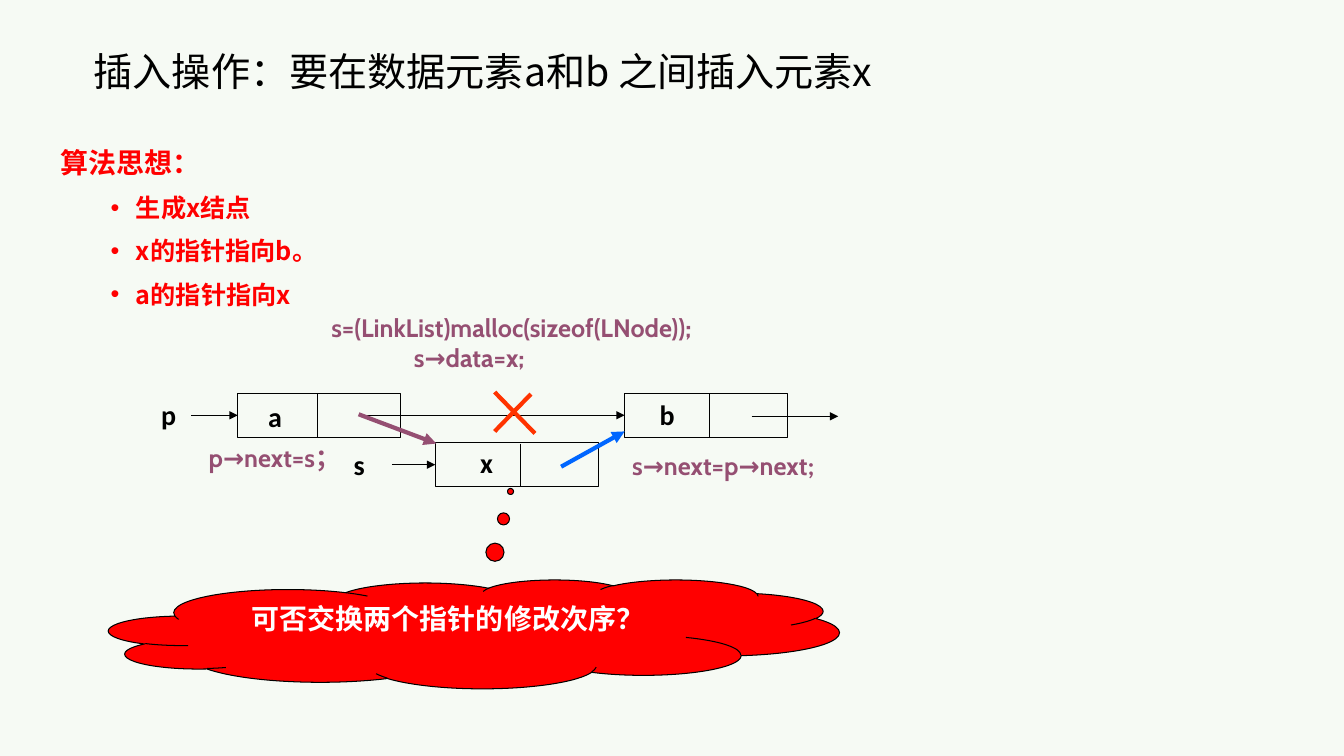
from dataclasses import dataclass

from lxml.etree import SubElement
from pptx import Presentation
from pptx.dml.color import RGBColor
from pptx.enum.shapes import MSO_CONNECTOR, MSO_SHAPE
from pptx.enum.text import MSO_ANCHOR, MSO_AUTO_SIZE, PP_ALIGN
from pptx.oxml.ns import qn
from pptx.util import Pt

SCALE = 9144  # EMU per px, 100 px to the inch


@dataclass(frozen=True)
class Theme:
    back: str = "F6FAF4"
    ink: str = "000000"
    red: str = "FF0000"
    cross: str = "FF3300"
    plum: str = "954F72"
    blue: str = "0066FF"
    white: str = "FFFFFF"
    cjk: str = "Noto Sans CJK SC"
    code: str = "Cabin"
    plain: str = "Calibri"
    title: int = 28
    large: int = 20
    small: int = 18
    thin: float = 0.75
    thick: int = 3


T = Theme()


def px(*nums):
    return [n * SCALE for n in nums]


def rgb(code):
    return RGBColor.from_string(code)


def style(par, size, color, face, bold=True):
    font = par.font
    font.size, font.bold, font.name = Pt(size), bold, face
    font.color.rgb = rgb(color)
    latin = font._element.find(qn("a:latin")) if hasattr(font, "_element") else par._p.pPr.find(
        qn("a:defRPr")).find(qn("a:latin"))
    latin.addnext(latin.makeelement(qn("a:ea"), typeface=T.cjk))


def indent(par, left, hang=0, bullet=None):
    props = par._p.get_or_add_pPr()
    props.set("marL", str(left * SCALE))
    props.set("indent", str(-hang * SCALE))
    if bullet:
        SubElement(props, qn("a:buFont"), typeface="Arial")
        SubElement(props, qn("a:buChar"), char=bullet)


def label(shapes, box, text, size=T.large, color=T.ink, face=T.plain):
    """Add one centred line of bold text and return its paragraph."""
    frame = shapes.add_textbox(*px(*box)).text_frame
    frame.word_wrap = False
    frame.vertical_anchor = MSO_ANCHOR.MIDDLE
    par = frame.paragraphs[0]
    par.text = text
    par.alignment = PP_ALIGN.CENTER
    style(par, size, color, face)
    return par


def line(shapes, start, end, color=T.ink, width=T.thin, arrow=False):
    link = shapes.add_connector(MSO_CONNECTOR.STRAIGHT, *px(*start, *end))
    link.line.color.rgb = rgb(color)
    link.line.width = Pt(width)
    props = link.element.spPr
    if arrow:
        SubElement(props.find(qn("a:ln")), qn("a:tailEnd"), type="triangle")
    SubElement(props, qn("a:effectLst"))
    return link


def node(shapes, box, text, split, shift):
    """Draw a list node, split into a data field and a pointer field."""
    x, y, w, h = box
    rect = shapes.add_shape(MSO_SHAPE.RECTANGLE, *px(*box))
    rect.shadow.inherit = False
    rect.fill.background()
    rect.line.color.rgb = rgb(T.ink)
    rect.line.width = Pt(T.thin)
    line(shapes, (x + split, y + 1), (x + split, y + h))
    label(shapes, (x + shift[0], y + shift[1], 34, h), text)
    return rect


def heading(slide, box):
    title = slide.shapes.title
    title.left, title.top, title.width, title.height = px(*box)
    frame = title.text_frame
    frame.auto_size = MSO_AUTO_SIZE.NONE
    frame.word_wrap = True
    frame.vertical_anchor = MSO_ANCHOR.BOTTOM
    par = frame.paragraphs[0]
    par.text = "插入操作：要在数据元素a和b 之间插入元素x"
    par.alignment = PP_ALIGN.LEFT
    par.line_spacing = 0.9
    style(par, T.title, T.ink, T.cjk, False)


def idea(shapes, box):
    frame = shapes.add_textbox(*px(*box)).text_frame
    frame.word_wrap = True
    lines = ["算法思想：", "生成x结点", "x的指针指向b。", "a的指针指向x"]
    for i, text in enumerate(lines):
        par = frame.add_paragraph() if i else frame.paragraphs[0]
        par.text = text
        par.line_spacing = 1.2
        if i:
            par.space_before = Pt(5)
            indent(par, 75, 25, "•")
        else:
            indent(par, 25, 25)
        style(par, T.small if i else T.large, T.red, T.cjk)


def code(shapes, box):
    frame = shapes.add_textbox(*px(*box)).text_frame
    frame.word_wrap = True
    frame.vertical_anchor = MSO_ANCHOR.MIDDLE
    first, second = frame.paragraphs[0], frame.add_paragraph()
    first.text = "s=(LinkList)malloc(sizeof(LNode));"
    second.text = "s→data=x;"
    indent(second, 82)
    for par in (first, second):
        style(par, T.small, T.plum, T.code)


def diagram(shapes, box):
    """Show the list with x being linked in between a and b."""
    x, y, w, h = box
    mid = y + 22

    def at(dx, dy):
        return x + dx, y + dy

    a = node(shapes, (*at(86, 0), 162, 44), "a", 79, (20, 1))
    b = node(shapes, (*at(470, 0), 162, 44), "b", 84, (25, -1))
    new = node(shapes, (*at(282, 49), 162, 44), "x", 85, (34, -2))

    label(shapes, (*at(0, -1), 32, 44), "p")
    label(shapes, (*at(191, 49), 31, 44), "s")
    for dx, level, goal in ((40, mid, a), (206, mid, b), (239, y + 71, new)):
        link = line(shapes, (x + dx, level), (x + dx + 40, level), arrow=True)
        link.end_connect(goal, 1)
    line(shapes, at(596, 23), at(682, 23), arrow=True)

    line(shapes, at(377, 1), at(341, 38), T.cross, T.thick)
    line(shapes, at(341, -1), at(381, 40), T.cross, T.thick)
    line(shapes, at(206, 21), at(283, 50), T.plum, T.thick, True)
    line(shapes, at(407, 73), at(470, 38), T.blue, T.thick, True)

    step = label(shapes, (*at(456, 52), 224, 40), "s→next=p→next", T.small, T.plum, T.code)
    end = step.add_run()
    end.text = ";"
    end.font.name = T.plain
    label(shapes, (*at(37, 44), 171, 40), "p→next=s；", T.small, T.plum, T.code)


def cloud(shapes, box):
    shape = shapes.add_shape(MSO_SHAPE.CLOUD_CALLOUT, *px(*box))
    shape.adjustments[0], shape.adjustments[1] = 0.05, -1.31
    shape.shadow.inherit = False
    shape.fill.solid()
    shape.fill.fore_color.rgb = rgb(T.red)
    shape.line.color.rgb = rgb(T.ink)
    shape.line.width = Pt(T.thin)
    frame = shape.text_frame
    frame.word_wrap = True
    frame.vertical_anchor = MSO_ANCHOR.TOP
    par = frame.paragraphs[0]
    par.text = "可否交换两个指针的修改次序？"
    par.alignment = PP_ALIGN.CENTER
    style(par, T.large, T.white, T.code)


def main():
    deck = Presentation()
    deck.slide_width, deck.slide_height = px(1334, 750)
    slide = deck.slides.add_slide(deck.slide_layouts[5])
    slide.background.fill.solid()
    slide.background.fill.fore_color.rgb = rgb(T.back)
    heading(slide, (83, 42, 852, 57))
    idea(slide.shapes, (50, 133, 925, 200))
    diagram(slide.shapes, (150, 390, 682, 93))
    cloud(slide.shapes, (108, 575, 725, 108))
    code(slide.shapes, (319, 305, 446, 70))
    deck.save("out.pptx")


if __name__ == "__main__":
    main()
